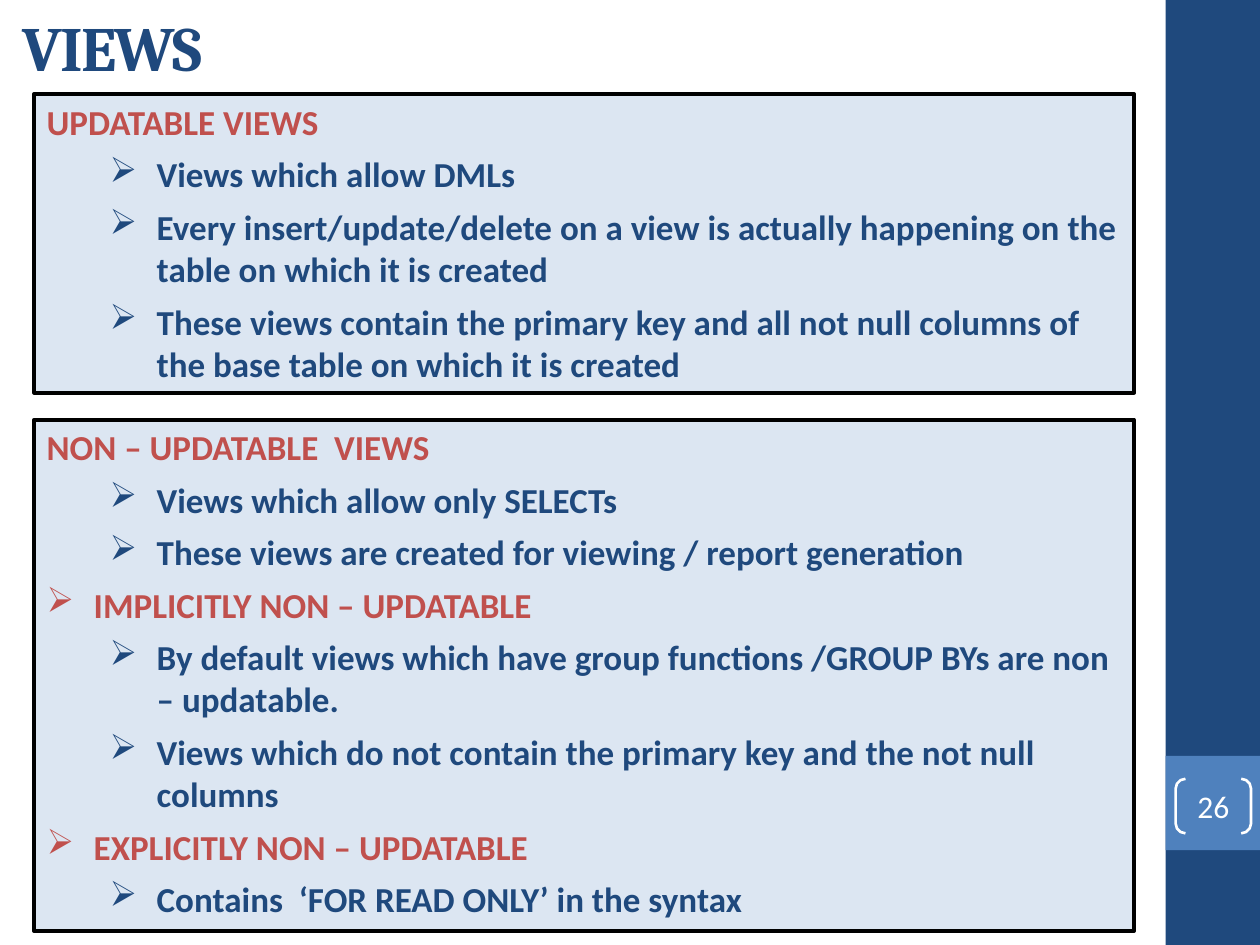
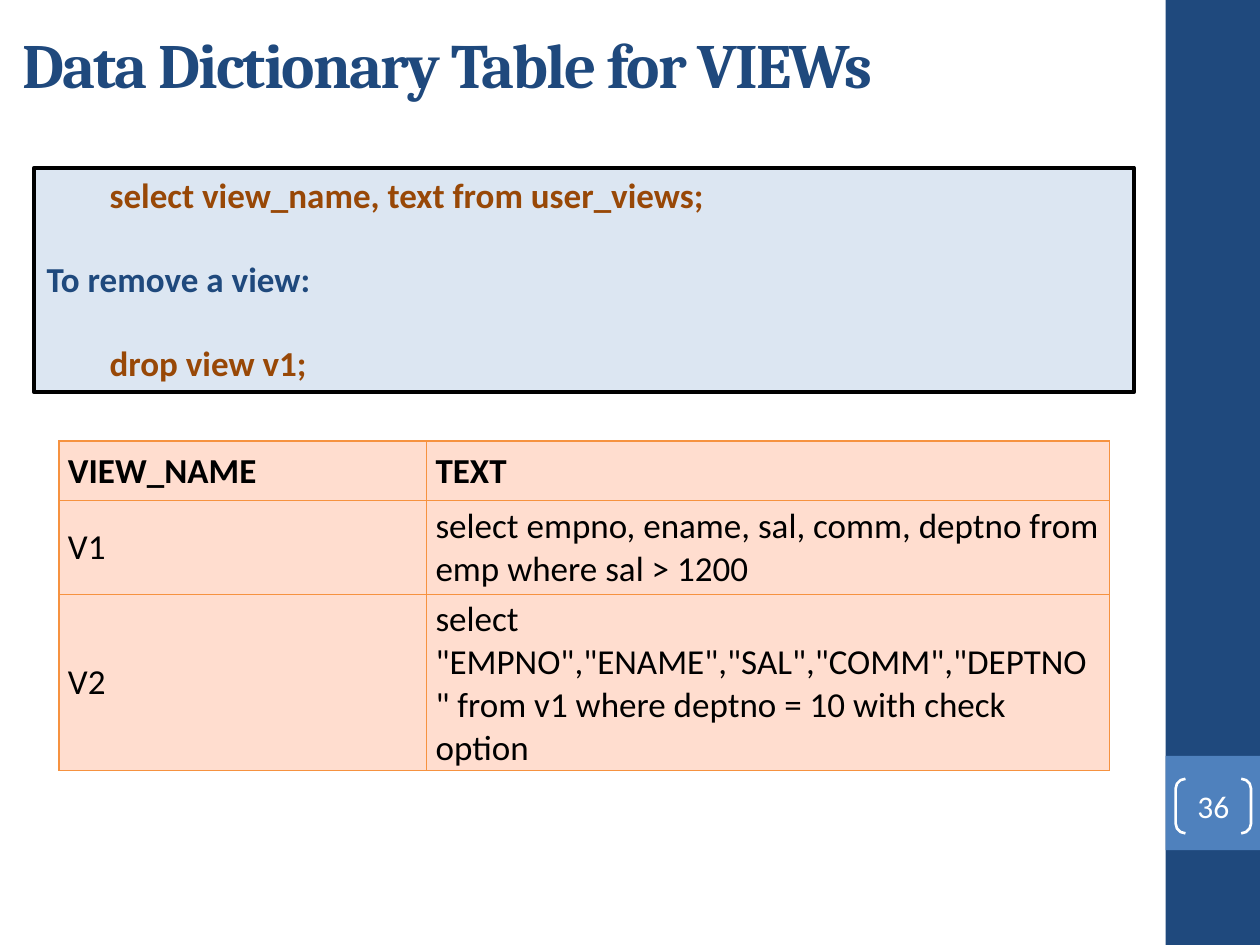
from lxml import etree
from pptx import Presentation
from pptx.dml.color import RGBColor
from pptx.enum.shapes import MSO_SHAPE
from pptx.enum.text import MSO_ANCHOR, PP_ALIGN
from pptx.oxml.ns import qn
from pptx.util import Cm, Pt

RECT = MSO_SHAPE.RECTANGLE
BRACKETS = MSO_SHAPE.DOUBLE_BRACKET
TOP, MIDDLE, BOTTOM = MSO_ANCHOR.TOP, MSO_ANCHOR.MIDDLE, MSO_ANCHOR.BOTTOM
LEFT, CENTER = PP_ALIGN.LEFT, PP_ALIGN.CENTER

NAVY = RGBColor(0x1F, 0x49, 0x7D)
BLUE = RGBColor(0x4F, 0x81, 0xBD)
PALE = RGBColor(0xDC, 0xE6, 0xF2)
RED = RGBColor(0xC0, 0x50, 0x4D)
BROWN = RGBColor(0x98, 0x48, 0x07)
PEACH = RGBColor(0xFF, 0xDD, 0xCF)
ORANGE = RGBColor(0xF6, 0x92, 0x40)
WHITE = RGBColor(0xFF, 0xFF, 0xFF)
BLACK = RGBColor(0, 0, 0)

BODY, HEAD = "Calibri", "Cambria"
WIDE, HIGH = 25.4, 19.05
BAND = 1.9
EDGE = WIDE - BAND
HANG = 0.95

# Paragraph kinds: colour, left margin (cm), bulleted, space before (pt)
KINDS = {
    "head": (RED, 0, False, 6),
    "sub": (RED, HANG, True, 6),
    "item": (NAVY, 2.22, True, 6),
    "code": (BROWN, 1.27, False, 0),
    "gapcode": (BROWN, 1.27, False, 24),
    "gaptext": (NAVY, 0, False, 24),
}


class Deck:
    """Holds the shared style and the slide being filled."""

    def __init__(self):
        self.prs = Presentation()
        self.prs.slide_width, self.prs.slide_height = Cm(WIDE), Cm(HIGH)
        self.slide = None

    def start(self, title, top, number):
        self.slide = self.prs.slides.add_slide(self.prs.slide_layouts[6])
        self.shape(RECT, EDGE, 0, BAND, HIGH, NAVY)
        self.shape(RECT, EDGE, 15.24, BAND, BAND, BLUE)
        self.number(number)
        self.title(title, top)

    def shape(self, kind, left, top, width, height, fill=None, line=None, weight=0):
        shape = self.slide.shapes.add_shape(
            kind, Cm(left), Cm(top), Cm(width), Cm(height))
        shape.shadow.inherit = False
        if fill is None:
            shape.fill.background()
        else:
            shape.fill.solid()
            shape.fill.fore_color.rgb = fill
        if line is None:
            shape.line.fill.background()
        else:
            shape.line.color.rgb = line
            shape.line.width = Pt(weight)
        return shape

    def style(self, para, size, color, bold=False, font=BODY, align=LEFT):
        para.alignment = align
        for run in para.runs:
            run.font.name, run.font.size = font, Pt(size)
            run.font.bold, run.font.color.rgb = bold, color

    def number(self, number):
        shape = self.shape(BRACKETS, 23.7, 15.7, 1.52, 1.1, None, WHITE, 1.5)
        shape.adjustments[0] = 0.18
        frame = shape.text_frame
        frame.margin_left = frame.margin_right = 0
        frame.margin_top = frame.margin_bottom = 0
        frame.vertical_anchor = MIDDLE
        frame.text = str(number)
        self.style(frame.paragraphs[0], 18, WHITE, align=CENTER)

    def title(self, text, top):
        box = self.slide.shapes.add_textbox(Cm(0.2), Cm(top), Cm(21.16), Cm(1.7))
        frame = box.text_frame
        frame.word_wrap = True
        frame.vertical_anchor = MIDDLE
        frame.text = text
        para = frame.paragraphs[0]
        self.style(para, 36, NAVY, True, HEAD)
        para.runs[0]._r.get_or_add_rPr().set("spc", "-100")

    def panel(self, top, height, lines):
        """Outlined box of (kind, text) lines, with kinds from KINDS."""
        shape = self.shape(RECT, 0.69, top, 22.17, height, PALE, BLACK, 2.25)
        frame = shape.text_frame
        frame.word_wrap = True
        frame.vertical_anchor = TOP
        frame.text = "\n".join(text for _, text in lines)
        for para, (kind, _) in zip(frame.paragraphs, lines):
            color, margin, bullet, gap = KINDS[kind]
            self.style(para, 20, color, True)
            para.space_before = Pt(gap)
            self.indent(para, margin, bullet)

    def indent(self, para, margin, bullet):
        props = para._p.get_or_add_pPr()
        props.set("marL", str(Cm(margin)))
        props.set("indent", str(Cm(-HANG if bullet else 0)))
        if bullet:
            etree.SubElement(props, qn("a:buChar")).set("char", "➢")

    def table(self, left, top, widths, heights, rows):
        table = self.slide.shapes.add_table(
            len(rows), len(widths), Cm(left), Cm(top),
            Cm(sum(widths)), Cm(sum(heights))).table
        table.horz_banding = table.first_row = False
        for col, width in zip(table.columns, widths):
            col.width = Cm(width)
        for r, (row, height) in enumerate(zip(rows, heights)):
            table.rows[r].height = Cm(height)
            for c, text in enumerate(row):
                self.cell(table.cell(r, c), text, r == 0)

    def cell(self, cell, text, header):
        cell.margin_left = cell.margin_right = Cm(0.18)
        cell.margin_top = cell.margin_bottom = Cm(0.18 if header else 0.08)
        cell.vertical_anchor = BOTTOM if header else MIDDLE
        cell.text = text
        self.style(cell.text_frame.paragraphs[0], 20, BLACK, header)
        props = cell._tc.get_or_add_tcPr()
        for side in ("lnL", "lnR", "lnT", "lnB"):
            line = etree.SubElement(props, qn(f"a:{side}"), w=str(Pt(0.75)))
            fill = etree.SubElement(line, qn("a:solidFill"))
            etree.SubElement(fill, qn("a:srgbClr"), val=str(ORANGE))
        cell.fill.solid()
        cell.fill.fore_color.rgb = PEACH


def views(deck):
    deck.start("VIEWS", 0.08, 26)
    deck.panel(1.9, 6.02, [
        ("head", "UPDATABLE VIEWS"),
        ("item", "Views which allow DMLs"),
        ("item", "Every insert/update/delete on a view is actually happening "
                 "on the table on which it is created"),
        ("item", "These views contain the primary key and all not null columns "
                 "of the base table on which it is created"),
    ])
    deck.panel(8.46, 10.31, [
        ("head", "NON – UPDATABLE  VIEWS"),
        ("item", "Views which allow only SELECTs"),
        ("item", "These views are created for viewing / report generation"),
        ("sub", "IMPLICITLY NON – UPDATABLE"),
        ("item", "By default views which have group functions /GROUP BYs "
                 "are non – updatable."),
        ("item", "Views which do not contain the primary key and the not null "
                 "columns"),
        ("sub", "EXPLICITLY NON – UPDATABLE"),
        ("item", "Contains  ‘FOR READ ONLY’ in the syntax"),
    ])


def catalog(deck):
    deck.start("Data Dictionary Table for VIEWs", 0.43, 36)
    deck.panel(3.38, 4.53, [
        ("code", "select view_name, text from user_views;"),
        ("gaptext", "To remove a view:"),
        ("gapcode", "drop view v1;"),
    ])
    deck.table(1.19, 8.89, [7.41, 13.76], [1.17, 1.88, 3.55], [
        ("VIEW_NAME", "TEXT"),
        ("V1", "select empno, ename, sal, comm, deptno from emp "
               "where sal > 1200"),
        ("V2", 'select "EMPNO","ENAME","SAL","COMM","DEPTNO" from v1 '
               "where deptno = 10 with check option"),
    ])


def main():
    deck = Deck()
    views(deck)
    catalog(deck)
    deck.prs.save("out.pptx")


if __name__ == "__main__":
    main()
